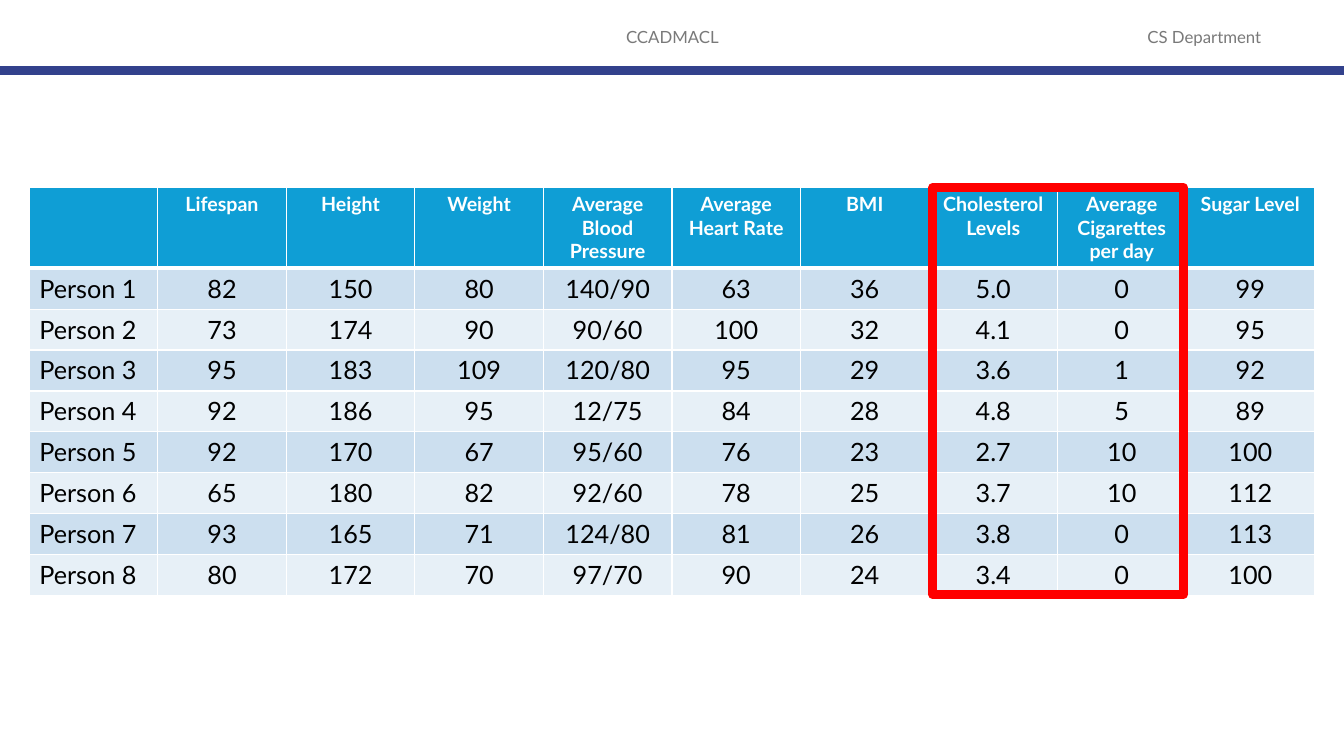
from lxml import etree
from pptx import Presentation
from pptx.dml.color import RGBColor
from pptx.enum import shapes, text
from pptx.oxml.ns import qn
from pptx.util import Inches, Pt

FONT = "Lato"
WHITE = RGBColor(0xFF, 0xFF, 0xFF)
BLACK = RGBColor(0, 0, 0)
GREY = RGBColor(0x79, 0x79, 0x79)
NAVY = RGBColor(0x32, 0x41, 0x8C)
HEADER_BLUE = RGBColor(0x0F, 0x9E, 0xD5)
BANDS = [RGBColor(0xE7, 0xF0, 0xF7), RGBColor(0xCC, 0xDF, 0xEF)]
RED = RGBColor(0xFF, 0, 0)

ROWS = [
    ["", "Lifespan", "Height", "Weight", "Average Blood Pressure", "Average Heart Rate",
     "BMI", "Cholesterol Levels", "Average Cigarettes per day", "Sugar Level"],
    ["Person 1", "82", "150", "80", "140/90", "63", "36", "5.0", "0", "99"],
    ["Person 2", "73", "174", "90", "90/60", "100", "32", "4.1", "0", "95"],
    ["Person 3", "95", "183", "109", "120/80", "95", "29", "3.6", "1", "92"],
    ["Person 4", "92", "186", "95", "12/75", "84", "28", "4.8", "5", "89"],
    ["Person 5", "92", "170", "67", "95/60", "76", "23", "2.7", "10", "100"],
    ["Person 6", "65", "180", "82", "92/60", "78", "25", "3.7", "10", "112"],
    ["Person 7", "93", "165", "71", "124/80", "81", "26", "3.8", "0", "113"],
    ["Person 8", "80", "172", "70", "97/70", "90", "24", "3.4", "0", "100"],
]


def add_run(p, words, size, color, bold=False):
    r = p.add_run()
    r.text = words
    r.font.name = FONT
    r.font.size = Pt(size)
    r.font.bold = bold
    r.font.color.rgb = color


def set_borders(cell, bottom):
    """Give the cell white 1 pt borders, with its own width in points below."""
    tc_pr = cell._tc.get_or_add_tcPr()
    for side, width in (("L", 1), ("R", 1), ("T", 1), ("B", bottom)):
        ln = etree.SubElement(tc_pr, qn(f"a:ln{side}"), w=str(Pt(width)))
        fill = etree.SubElement(ln, qn("a:solidFill"))
        etree.SubElement(fill, qn("a:srgbClr"), val=str(WHITE))


prs = Presentation()
prs.slide_width, prs.slide_height = Inches(13.33), Inches(7.5)
s = prs.slides.add_slide(prs.slide_layouts[6])

# Page header
for words, left, width in (("CCADMACL", 4.42, 4.5), ("CS Department", 10.92, 2.05)):
    tf = s.shapes.add_textbox(Inches(left), Inches(0.17), Inches(width), Inches(0.4)).text_frame
    tf.word_wrap = True
    tf.vertical_anchor = text.MSO_ANCHOR.MIDDLE
    p = tf.paragraphs[0]
    p.alignment = text.PP_ALIGN.CENTER
    add_run(p, words, 12, GREY)

rule = s.shapes.add_connector(shapes.MSO_CONNECTOR.STRAIGHT, 0, Inches(0.7),
                              prs.slide_width, Inches(0.7))
rule.line.color.rgb = NAVY
rule.line.width = Pt(6)
etree.SubElement(rule._element.spPr, qn("a:effectLst"))

# Health table
top, width, height, header_height = Inches(1.86), Inches(12.75), Inches(4.04), Inches(0.79)
table = s.shapes.add_table(len(ROWS), len(ROWS[0]), Inches(0.29), top, width, height).table
for row in table.rows:
    row.height = (height - header_height) // (len(ROWS) - 1)
table.rows[0].height = header_height

for i, row in enumerate(ROWS):
    is_header = i == 0
    for j, words in enumerate(row):
        cell = table.cell(i, j)
        set_borders(cell, 3 if is_header else 1)
        cell.fill.solid()
        cell.fill.fore_color.rgb = HEADER_BLUE if is_header else BANDS[i % 2]
        p = cell.text_frame.paragraphs[0]
        p.alignment = text.PP_ALIGN.CENTER if j else text.PP_ALIGN.LEFT
        if words:
            add_run(p, words, 14 if is_header else 18, WHITE if is_header else BLACK, is_header)

# Frame around the cholesterol and cigarettes columns
sp = s.shapes.add_shape(shapes.MSO_SHAPE.RECTANGLE, Inches(9.25), top, Inches(2.49), height)
sp.shadow.inherit = False
sp.fill.background()
sp.line.color.rgb = RED
sp.line.width = Pt(6)

prs.save("out.pptx")
